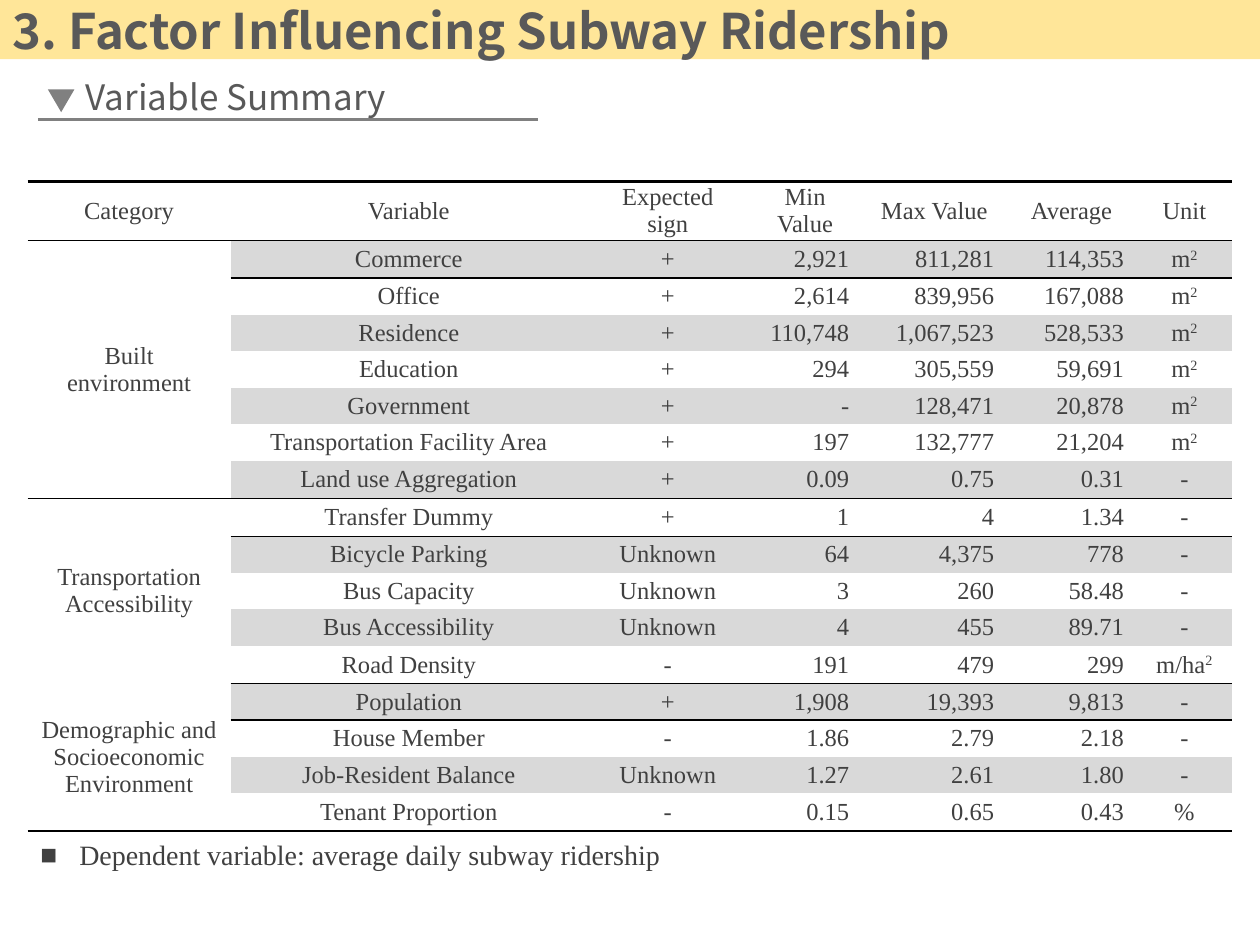
from pptx import Presentation
from pptx.dml.color import RGBColor
from pptx.enum.shapes import MSO_CONNECTOR as Connector, MSO_SHAPE as Preset
from pptx.enum.text import MSO_ANCHOR as Anchor, MSO_AUTO_SIZE as AutoSize, PP_ALIGN as Align
from pptx.oxml import parse_xml
from pptx.oxml.ns import nsdecls, qn
from pptx.util import Inches, Pt

SANS, SERIF = "Noto Sans CJK SC", "Times New Roman"
BLACK, DARK, GRAY, TITLE_GRAY = "000000", "404040", "808080", "595959"
BAND, YELLOW = "D9D9D9", "FFE699"
NO_GRID_STYLE = "{2D5ABB26-0587-4C30-8999-92F81FD0307C}"

TITLE_FONT = {"name": SANS, "size": Pt(28), "bold": True}
SUBTITLE_FONT = {"name": SANS, "size": Pt(20)}
TABLE_FONT = {"name": SERIF, "size": Pt(14)}
NOTE_FONT = {"name": SERIF, "size": Pt(16)}

COLUMN_WIDTHS = [1.61, 2.83, 1.28, 0.9, 1.15, 1.03, 0.76]
HEADER = ["Category", "Variable", "Expected sign", "Min Value", "Max Value", "Average", "Unit"]
RIGHT_COLUMNS = (3, 4, 5)
GROUPS = {
    "Built environment": [
        ("Commerce", "+", "2,921", "811,281", "114,353", "m^2"),
        ("Office", "+", "2,614", "839,956", "167,088", "m^2"),
        ("Residence", "+", "110,748", "1,067,523", "528,533", "m^2"),
        ("Education", "+", "294", "305,559", "59,691", "m^2"),
        ("Government", "+", "-", "128,471", "20,878", "m^2"),
        ("Transportation Facility Area", "+", "197", "132,777", "21,204", "m^2"),
        ("Land use Aggregation", "+", "0.09", "0.75", "0.31", "-"),
    ],
    "Transportation Accessibility": [
        ("Transfer Dummy", "+", "1", "4", "1.34", "-"),
        ("Bicycle Parking", "Unknown", "64", "4,375", "778", "-"),
        ("Bus Capacity", "Unknown", "3", "260", "58.48", "-"),
        ("Bus Accessibility", "Unknown", "4", "455", "89.71", "-"),
        ("Road Density", "-", "191", "479", "299", "m/ha^2"),
    ],
    "Demographic and Socioeconomic Environment": [
        ("Population", "+", "1,908", "19,393", "9,813", "-"),
        ("House Member", "-", "1.86", "2.79", "2.18", "-"),
        ("Job-Resident Balance", "Unknown", "1.27", "2.61", "1.80", "-"),
        ("Tenant Proportion", "-", "0.15", "0.65", "0.43", "%"),
    ],
}


def rgb(value):
    return RGBColor.from_string(value)


def apply(target, values):
    for name, value in values.items():
        setattr(target, name, value)


def inches(*lengths):
    return [Inches(length) for length in lengths]


def place(shape, *box):
    apply(shape, dict(zip(("left", "top", "width", "height"), inches(*box))))


def write(paragraph, text, font, color, align=Align.LEFT):
    paragraph.alignment = align
    base, _, superscript = text.partition("^")
    for part in filter(None, (base, superscript)):
        run = paragraph.add_run()
        run.text = part
        apply(run.font, font)
        run.font.color.rgb = rgb(color)
    if superscript:
        run.font._element.set("baseline", "30000")


def add_title(slide):
    title = slide.shapes.title
    place(title, 0, 0, 10, 0.47)
    title.fill.solid()
    title.fill.fore_color.rgb = rgb(YELLOW)
    apply(title.text_frame, {"vertical_anchor": Anchor.MIDDLE, "auto_size": AutoSize.NONE})
    write(title.text_frame.paragraphs[0], "3. Factor Influencing Subway Ridership",
          TITLE_FONT, TITLE_GRAY)


def add_subtitle(slide):
    group = slide.shapes.add_group_shape()
    line = group.shapes.add_connector(Connector.STRAIGHT, *inches(0.3, 0.95, 4.27, 0.95))
    line.line.color.rgb = rgb(GRAY)
    line.line.width = Pt(1.5)
    line._element.spPr.append(parse_xml(f"<a:effectLst {nsdecls('a')}/>"))

    marker = group.shapes.add_shape(Preset.ISOSCELES_TRIANGLE, *inches(0.38, 0.71, 0.21, 0.18))
    marker.rotation = 180
    marker.shadow.inherit = False
    marker.fill.solid()
    marker.fill.fore_color.rgb = rgb(GRAY)
    marker.line.fill.background()

    label = group.shapes.add_textbox(*inches(0.58, 0.58, 3.69, 0.37))
    apply(label.text_frame, {"word_wrap": True, "vertical_anchor": Anchor.MIDDLE})
    write(label.text_frame.paragraphs[0], "Variable Summary", SUBTITLE_FONT, TITLE_GRAY)


def set_border(cell, side, points):
    cell._tc.get_or_add_tcPr().append(parse_xml(
        f'<a:{side} {nsdecls("a")} w="{Pt(points)}"><a:solidFill>'
        f'<a:srgbClr val="{BLACK}"/></a:solidFill></a:{side}>'))


def format_cell(cell, text, column, top, bottom, banded):
    for side, points in (("lnT", top), ("lnB", bottom)):
        if points:
            set_border(cell, side, points)
    if banded:
        cell.fill.solid()
        cell.fill.fore_color.rgb = rgb(BAND)
    else:
        cell.fill.background()
    apply(cell, {"vertical_anchor": Anchor.MIDDLE, "margin_left": Inches(0.1),
                 "margin_right": Inches(0.1), "margin_top": 0, "margin_bottom": 0})
    align = Align.RIGHT if banded is not None and column in RIGHT_COLUMNS else Align.CENTER
    write(cell.text_frame.paragraphs[0], text, TABLE_FONT, DARK, align)


def add_variable_table(slide):
    row_count = 1 + sum(map(len, GROUPS.values()))
    last = row_count - 1
    table = slide.shapes.add_table(row_count, len(HEADER), *inches(0.22, 1.44, 9.56, 5.16)).table
    apply(table, {"first_row": False, "horz_banding": False})
    table._tbl.tblPr.find(qn("a:tableStyleId")).text = NO_GRID_STYLE
    for column, width in zip(table.columns, COLUMN_WIDTHS):
        column.width = Inches(width)
    for column, text in enumerate(HEADER):
        format_cell(table.cell(0, column), text, column, 1.5, 1, None)
    table.rows[0].height = Inches(0.39)

    start = 1
    for category, variables in GROUPS.items():
        end = start + len(variables) - 1
        for row, values in enumerate(variables, start):
            edge = row in (start, end)
            table.rows[row].height = Inches(0.3 if edge and row != 13 else 0.29)
            top = 1 if row == start else 0
            bottom = 1.5 if row == last else 1 if row == end else 0
            for column, text in enumerate(values, 1):
                format_cell(table.cell(row, column), text, column, top, bottom, row % 2 == 1)
        category_bottom = 1.5 if end == last else 0
        format_cell(table.cell(start, 0), category, 0, 1 if start == 1 else 0,
                    category_bottom, False)
        if category_bottom:
            set_border(table.cell(end, 0), "lnB", category_bottom)
        table.cell(start, 0).merge(table.cell(end, 0))
        start = end + 1


def add_note(slide):
    note = slide.placeholders[1]
    place(note, 0.22, 6.6, 5.2, 0.37)
    apply(note.text_frame, {"word_wrap": False, "auto_size": AutoSize.SHAPE_TO_FIT_TEXT})
    paragraph = note.text_frame.paragraphs[0]
    properties = paragraph._p.get_or_add_pPr()
    properties.set("marL", str(Inches(0.31)))
    properties.set("indent", str(Inches(-0.31)))
    properties.append(parse_xml(f'<a:buChar {nsdecls("a")} char="■"/>'))
    paragraph.space_before = Pt(0)
    write(paragraph, "Dependent variable: average daily subway ridership", NOTE_FONT, DARK)


def main():
    presentation = Presentation()
    apply(presentation, {"slide_width": Inches(10), "slide_height": Inches(7.5)})
    slide = presentation.slides.add_slide(presentation.slide_layouts[1])
    add_title(slide)
    add_variable_table(slide)
    add_note(slide)
    add_subtitle(slide)
    presentation.save("out.pptx")


if __name__ == "__main__":
    main()
